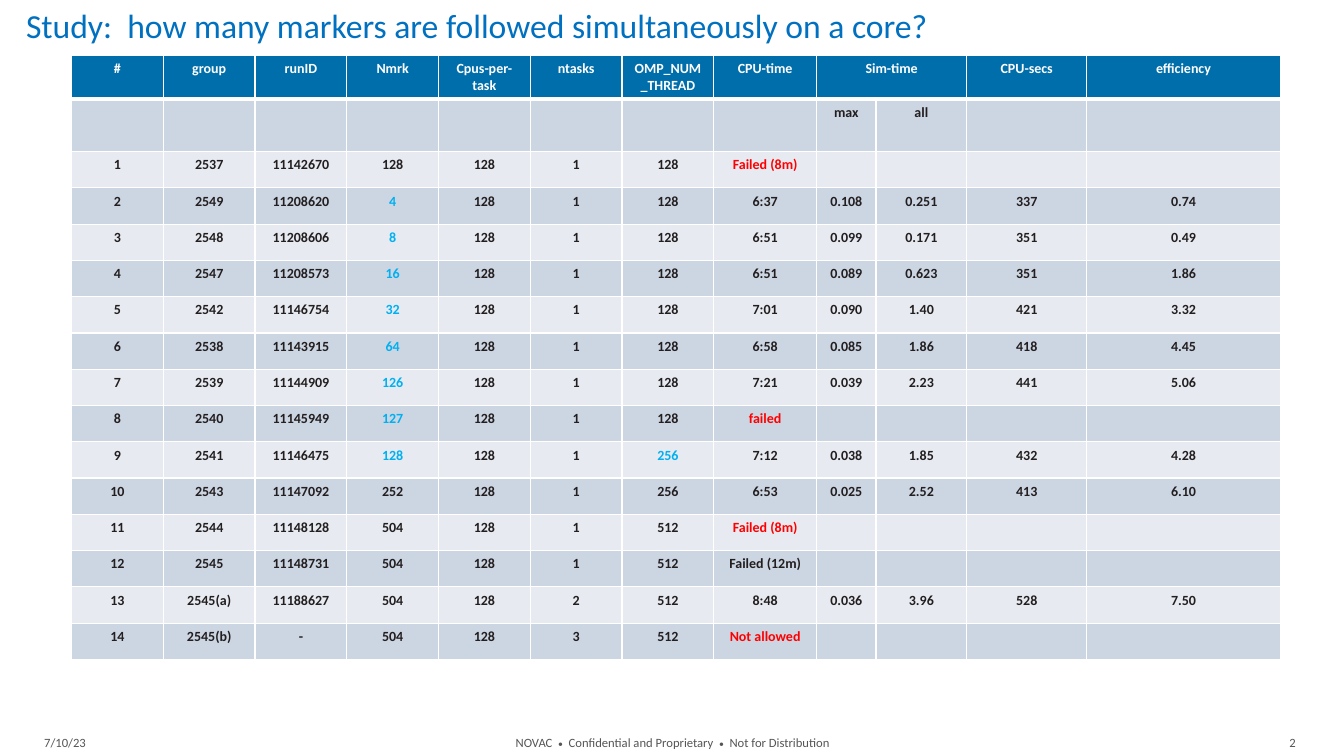
from lxml import etree
from pptx import Presentation
from pptx import util as u
from pptx.dml.color import RGBColor
from pptx.enum import text
from pptx.oxml.ns import qn

PX = 9144  # EMU per px, 100 px to the inch
COLORS = {
    "title": "0070C0", "header": "006EAB", "band_dark": "CCD5E2",
    "band_light": "E7EBF1", "white": "FFFFFF", "ink": "231F20",
    "failed": "FF0000", "varied": "00B0F0", "footer": "555556",
}
ALIGN = text.PP_ALIGN


def write(frame, *parts, size=10, color="ink", bold=False, align=ALIGN.LEFT):
    """Fill the first paragraph, one run per part; footer dots are smaller."""
    paragraph = frame.paragraphs[0]
    paragraph.alignment = align
    for part in parts:
        run = paragraph.add_run()
        run.text = part
        run.font.name = "Calibri"
        run.font.size = u.Pt(7 if part == "•" else size)
        run.font.bold = bold
        run.font.color.rgb = RGBColor.from_string(COLORS[color])


def set_borders(cell, **widths):
    """Draw white cell borders, with the width in points for each side."""
    for side in "LRTB":
        line = etree.SubElement(cell._tc.get_or_add_tcPr(), qn(f"a:ln{side}"),
                                w=str(u.Pt(widths.get(side, 1))))
        fill = etree.SubElement(line, qn("a:solidFill"))
        etree.SubElement(fill, qn("a:srgbClr"), val=COLORS["white"])


prs = Presentation()
prs.slide_width, prs.slide_height = 1333 * PX, 750 * PX
slide = prs.slides.add_slide(prs.slide_layouts[6])

# Footer
footer_parts = [
    (34, 472, ALIGN.LEFT, ["7/10/23"]),
    (1104, 191, ALIGN.RIGHT, ["2"]),
    (431, 472, ALIGN.CENTER, ["NOVAC  ", "•", "  Confidential and Proprietary  ",
                              "•", "  Not for Distribution"]),
]
for left, width, align, parts in footer_parts:
    footer = slide.shapes.add_textbox(left * PX, 722 * PX, width * PX, 29 * PX).text_frame
    footer.word_wrap = True
    footer.vertical_anchor = text.MSO_ANCHOR.MIDDLE
    footer.margin_top = footer.margin_bottom = 0
    write(footer, *parts, size=9, color="footer", align=align)

# Table of runs
headings = ["#", "group", "runID", "Nmrk", "Cpus-per-task", "ntasks",
            "OMP_NUM_THREAD", "CPU-time", "Sim-time", "", "CPU-secs", "efficiency"]
NMRK, THREADS, CPU_TIME, SIM_MAX, SIM_ALL = 3, 6, 7, 8, 9
subheadings = [""] * SIM_MAX + ["max", "all"]
runs = """
1|2537|11142670|128|128|1|128|Failed (8m)
2|2549|11208620|4|128|1|128|6:37|0.108|0.251|337|0.74
3|2548|11208606|8|128|1|128|6:51|0.099|0.171|351|0.49
4|2547|11208573|16|128|1|128|6:51|0.089|0.623|351|1.86
5|2542|11146754|32|128|1|128|7:01|0.090|1.40|421|3.32
6|2538|11143915|64|128|1|128|6:58|0.085|1.86|418|4.45
7|2539|11144909|126|128|1|128|7:21|0.039|2.23|441|5.06
8|2540|11145949|127|128|1|128|failed
9|2541|11146475|128|128|1|256|7:12|0.038|1.85|432|4.28
10|2543|11147092|252|128|1|256|6:53|0.025|2.52|413|6.10
11|2544|11148128|504|128|1|512|Failed (8m)
12|2545|11148731|504|128|1|512|Failed (12m)
13|2545(a)|11188627|504|128|2|512|8:48|0.036|3.96|528|7.50
14|2545(b)|-|504|128|3|512|Not allowed
"""
rows = [headings, subheadings] + [line.split("|") for line in runs.split("\n") if line]
column_widths = [91] * 7 + [102, 59, 90, 119, 192]
row_heights = [39, 52] + [36] * 14
first_varied, last_varied = 3, 10  # table rows of runs 2 to 9

table = slide.shapes.add_table(
    len(rows), len(headings), 71 * PX, 55 * PX,
    sum(column_widths) * PX, sum(row_heights) * PX).table
for column, width in zip(table.columns, column_widths):
    column.width = width * PX
for row, height in zip(table.rows, row_heights):
    row.height = height * PX

for r, values in enumerate(rows):
    band = "header" if r == 0 else "band_dark" if r % 2 else "band_light"
    for c in range(len(headings)):
        cell = table.cell(r, c)
        value = values[c] if c < len(values) else ""
        color = "white" if r == 0 else "ink"
        if value in ("Failed (8m)", "failed", "Not allowed"):
            color = "failed"
        elif (c == NMRK and first_varied <= r <= last_varied
              or c == THREADS and r == last_varied):
            color = "varied"
        set_borders(cell, **({"B": 3} if r == 0 else {"T": 3} if r == 1 else {}))
        cell.fill.solid()
        cell.fill.fore_color.rgb = RGBColor.from_string(COLORS[band])
        if value:
            write(cell.text_frame, value, color=color, bold=True, align=ALIGN.CENTER)
        else:
            etree.SubElement(cell.text_frame.paragraphs[0]._p,
                             qn("a:endParaRPr"), sz="1000")
table.cell(0, SIM_MAX).merge(table.cell(0, SIM_ALL))

# Title
title = slide.shapes.add_textbox(16 * PX, 0, 920 * PX, 46 * PX).text_frame
title.word_wrap = False
write(title, "Study:  how many markers are followed simultaneously on a core?",
      size=24, color="title")

prs.save("out.pptx")
